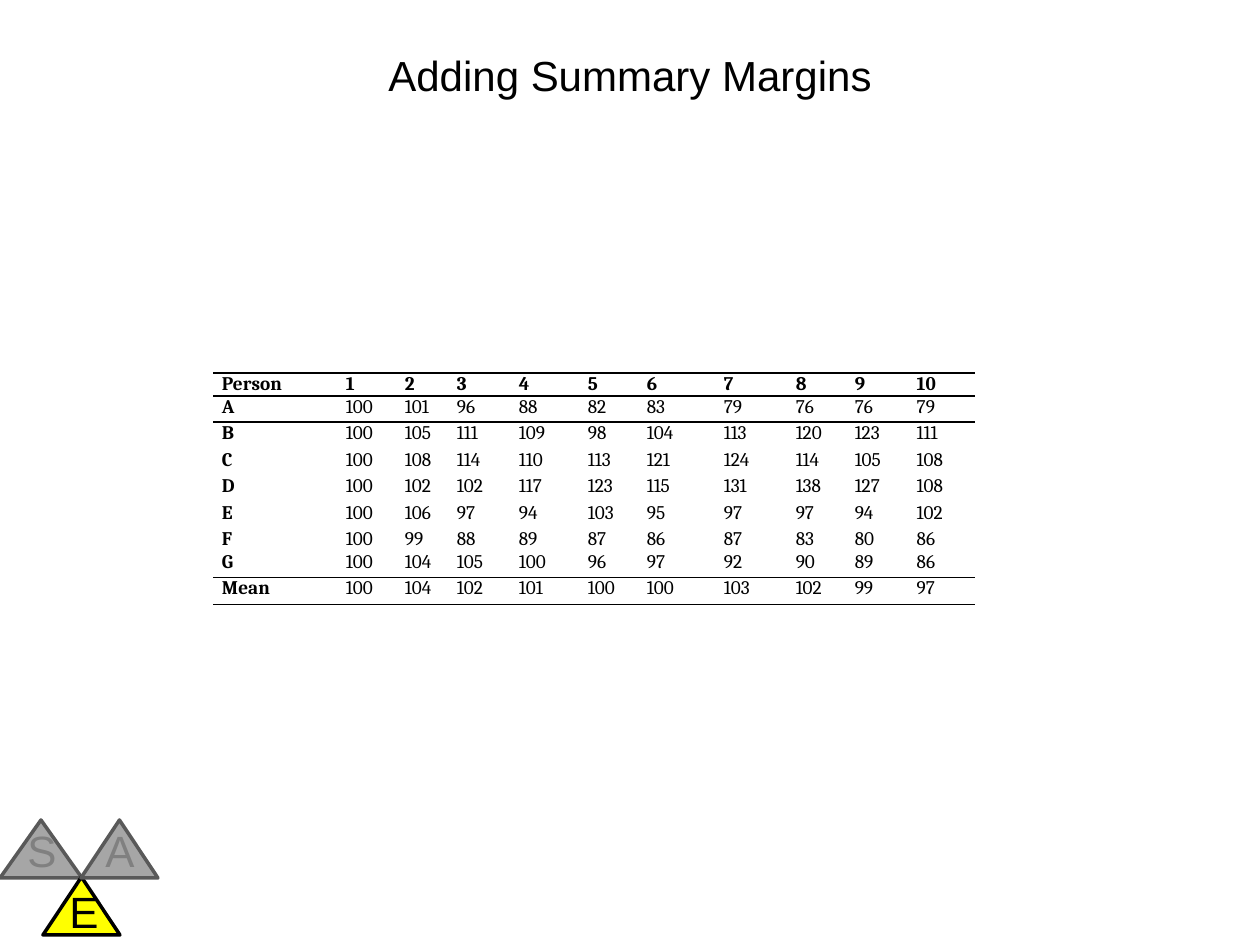
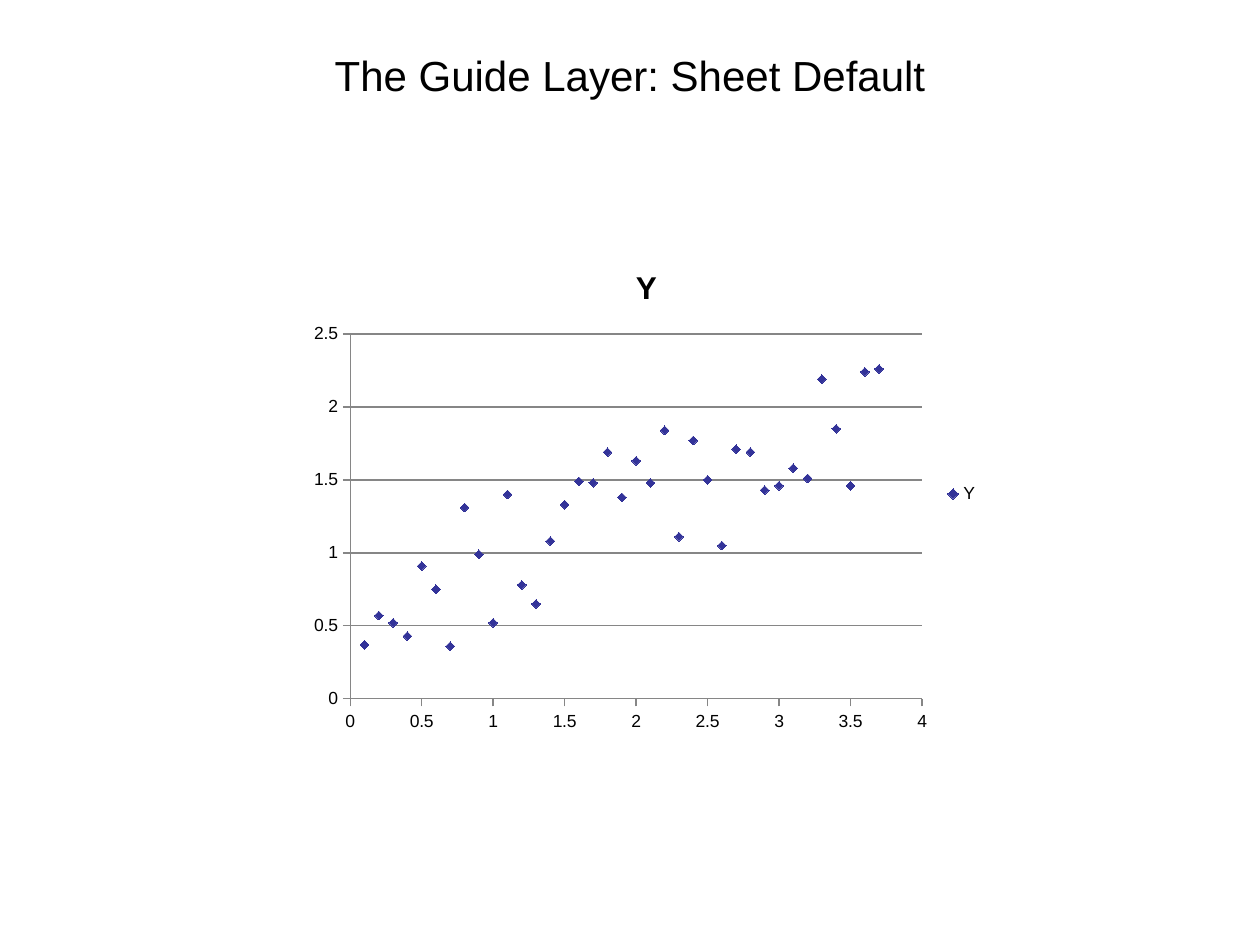
import pptx
import pptx.chart.data
import pptx.dml.color
import pptx.enum.chart
import pptx.enum.shapes
import pptx.enum.text
import pptx.oxml
import pptx.oxml.ns
import pptx.util

PX = 914400 / 126
BLACK, WHITE, SERIES, GRID = "000000", "FFFFFF", "333399", "868686"
MUTED_FILL, MUTED_LINE, MUTED_TEXT, ACTIVE_FILL = "A6A6A6", "595959", "808080", "FFFF00"
SANS, SERIF = "Arial", "Cambria"
TITLE_BOX = (63, 38, 1134, 158)
PLAIN_TABLE_STYLE = "{2D5ABB26-0587-4C30-8999-92F81FD0307C}"

COLUMN_WIDTHS = [124, 59, 52, 62, 69, 59, 77, 72, 59, 62, 67]
ROW_HEIGHTS = [23, 26, 27, 26, 27, 26, 23, 26, 27]
SCORES = [
    ["Person", 1, 2, 3, 4, 5, 6, 7, 8, 9, 10],
    ["A", 100, 101, 96, 88, 82, 83, 79, 76, 76, 79],
    ["B", 100, 105, 111, 109, 98, 104, 113, 120, 123, 111],
    ["C", 100, 108, 114, 110, 113, 121, 124, 114, 105, 108],
    ["D", 100, 102, 102, 117, 123, 115, 131, 138, 127, 108],
    ["E", 100, 106, 97, 94, 103, 95, 97, 97, 94, 102],
    ["F", 100, 99, 88, 89, 87, 86, 87, 83, 80, 86],
    ["G", 100, 104, 105, 100, 96, 97, 92, 90, 89, 86],
    ["Mean", 100, 104, 102, 101, 100, 100, 103, 102, 99, 97],
]
Y_VALUES = [
    0.37, 0.57, 0.52, 0.43, 0.91, 0.75, 0.36, 1.31, 0.99, 0.52,
    1.4, 0.78, 0.65, 1.08, 1.33, 1.49, 1.48, 1.69, 1.38, 1.63,
    1.48, 1.84, 1.11, 1.77, 1.5, 1.05, 1.71, 1.69, 1.43, 1.46,
    1.58, 1.51, 2.19, 1.85, 1.46, 2.24, 2.26,
]


def px(length):
    return pptx.util.Emu(round(length * PX))


def place(box):
    return [px(length) for length in box]


def color(value):
    return pptx.dml.color.RGBColor.from_string(value)


def style_font(font, size, value=BLACK, name=SANS, bold=False):
    font.size = pptx.util.Pt(size)
    font.name = name
    font.bold = bold
    font.color.rgb = color(value)


def add_span(para, text, size, **style):
    span = para.add_run()
    span.text = text
    style_font(span.font, size, **style)


def add_label(shapes, box, text, size, value=BLACK, inset_top=6):
    frame = shapes.add_textbox(*place(box)).text_frame
    frame.word_wrap = True
    frame.margin_top = px(inset_top)
    para = frame.paragraphs[0]
    para.alignment = pptx.enum.text.PP_ALIGN.CENTER
    add_span(para, text, size, value=value)


def add_page(deck, title):
    page = deck.slides.add_slide(deck.slide_layouts[6])
    page.background.fill.solid()
    page.background.fill.fore_color.rgb = color(WHITE)
    add_label(page.shapes, TITLE_BOX, title, 24, inset_top=11)
    return page


def add_rule(cell, side):
    properties = cell._tc.get_or_add_tcPr()
    properties.append(pptx.oxml.parse_xml(
        f'<a:{side} {pptx.oxml.ns.nsdecls("a")} w="12700"><a:solidFill>'
        f'<a:srgbClr val="{BLACK}"/></a:solidFill></a:{side}>'))


def fill_cell(cell, text, row, column):
    last = len(SCORES) - 1
    # Rules go round the header and the mean row
    if row in (0, 1, last):
        add_rule(cell, "lnT")
    if row in (0, last - 1, last):
        add_rule(cell, "lnB")
    if row in (0, last):
        cell.fill.background()
    else:
        cell.fill.solid()
        cell.fill.fore_color.rgb = color(WHITE)
    cell.margin_left = cell.margin_right = px(9)
    cell.margin_top = cell.margin_bottom = 0
    add_span(cell.text_frame.paragraphs[0], text, 11, name=SERIF,
             bold=row == 0 or column == 0)


def add_score_table(page, left, top):
    box = (left, top, sum(COLUMN_WIDTHS), sum(ROW_HEIGHTS))
    table = page.shapes.add_table(len(SCORES), len(COLUMN_WIDTHS), *place(box)).table
    table._tbl.tblPr.find(pptx.oxml.ns.qn("a:tableStyleId")).text = PLAIN_TABLE_STYLE
    table.first_row = table.horz_banding = False
    for column, width in zip(table.columns, COLUMN_WIDTHS):
        column.width = px(width)
    for row, height in zip(table.rows, ROW_HEIGHTS):
        row.height = px(height)
    for row, scores in enumerate(SCORES):
        for column, score in enumerate(scores):
            fill_cell(table.cell(row, column), str(score), row, column)


def add_stage_triangles(page, left, top, active):
    group = page.shapes.add_group_shape()
    stages = [("S", 0, 0, 82, 5, -2), ("E", 43, 57, 77, 47, 59), ("A", 81, 0, 77, 83, -2)]
    # Triangles
    for letter, x, y, width, _, _ in stages:
        box = (left + x, top + y, width, 58)
        triangle = group.shapes.add_shape(
            pptx.enum.shapes.MSO_SHAPE.ISOSCELES_TRIANGLE, *place(box))
        triangle.shadow.inherit = False
        triangle.fill.solid()
        triangle.fill.fore_color.rgb = color(ACTIVE_FILL if letter == active else MUTED_FILL)
        triangle.line.color.rgb = color(BLACK if letter == active else MUTED_LINE)
        triangle.line.width = pptx.util.Pt(2)
    # Letters over the triangles
    for letter, _, _, _, x, y in stages:
        add_label(group.shapes, (left + x, top + y, 74, 65), letter, 25,
                  BLACK if letter == active else MUTED_TEXT)


def style_axis(axis, maximum):
    axis.minimum_scale, axis.maximum_scale, axis.major_unit = 0, maximum, 0.5
    axis.major_tick_mark = pptx.enum.chart.XL_TICK_MARK.OUTSIDE
    axis.minor_tick_mark = pptx.enum.chart.XL_TICK_MARK.NONE
    axis.has_major_gridlines = False
    axis.format.line.color.rgb = color(GRID)
    axis.tick_labels.number_format = "General"
    axis.tick_labels.number_format_is_linked = False
    style_font(axis.tick_labels.font, 10)


def set_plot_area(chart, x, y, width, height):
    area = chart._chartSpace.chart.plotArea
    for layout in area.findall(pptx.oxml.ns.qn("c:layout")):
        area.remove(layout)
    parts = "".join(f'<c:{name} val="{value}"/>' for name, value in [
        ("layoutTarget", "inner"), ("xMode", "edge"), ("yMode", "edge"),
        ("x", x), ("y", y), ("w", width), ("h", height)])
    area.insert(0, pptx.oxml.parse_xml(
        f'<c:layout {pptx.oxml.ns.nsdecls("c")}><c:manualLayout>{parts}'
        '</c:manualLayout></c:layout>'))


def add_scatter(page, box):
    data = pptx.chart.data.XyChartData()
    points = data.add_series("Y")
    for step, value in enumerate(Y_VALUES, 1):
        points.add_data_point(step / 10, value)
    chart = page.shapes.add_chart(
        pptx.enum.chart.XL_CHART_TYPE.XY_SCATTER, *place(box), data).chart
    style_font(chart.font, 10)

    # Title and legend
    chart.has_title = True
    add_span(chart.chart_title.text_frame.paragraphs[0], "Y", 18, bold=True)
    chart.has_legend = True
    chart.legend.position = pptx.enum.chart.XL_LEGEND_POSITION.RIGHT
    chart.legend.include_in_layout = False
    style_font(chart.legend.font, 10)

    # Axes and gridlines
    style_axis(chart.category_axis, 4)
    style_axis(chart.value_axis, 2.5)
    chart.value_axis.has_major_gridlines = True
    chart.value_axis.major_gridlines.format.line.color.rgb = color(GRID)
    set_plot_area(chart, 0.07, 0.18, 0.83, 0.73)

    # Markers without a joining line
    chart.plots[0].vary_by_categories = False
    series = chart.plots[0].series[0]
    series.smooth = False
    series.format.line.fill.background()
    series.marker.style = pptx.enum.chart.XL_MARKER_STYLE.DIAMOND
    series.marker.size = 5
    series.marker.format.fill.solid()
    series.marker.format.fill.fore_color.rgb = color(SERIES)
    series.marker.format.line.color.rgb = color(SERIES)


def main():
    deck = pptx.Presentation()
    deck.slide_width, deck.slide_height = px(1260), px(945)

    margins_page = add_page(deck, "Adding Summary Margins")
    add_stage_triangles(margins_page, 0, 820, active="E")
    add_score_table(margins_page, 213, 373)

    guide_page = add_page(deck, "The Guide Layer: Sheet Default")
    add_scatter(guide_page, (302, 244, 689, 500))

    deck.save("out.pptx")


if __name__ == "__main__":
    main()
